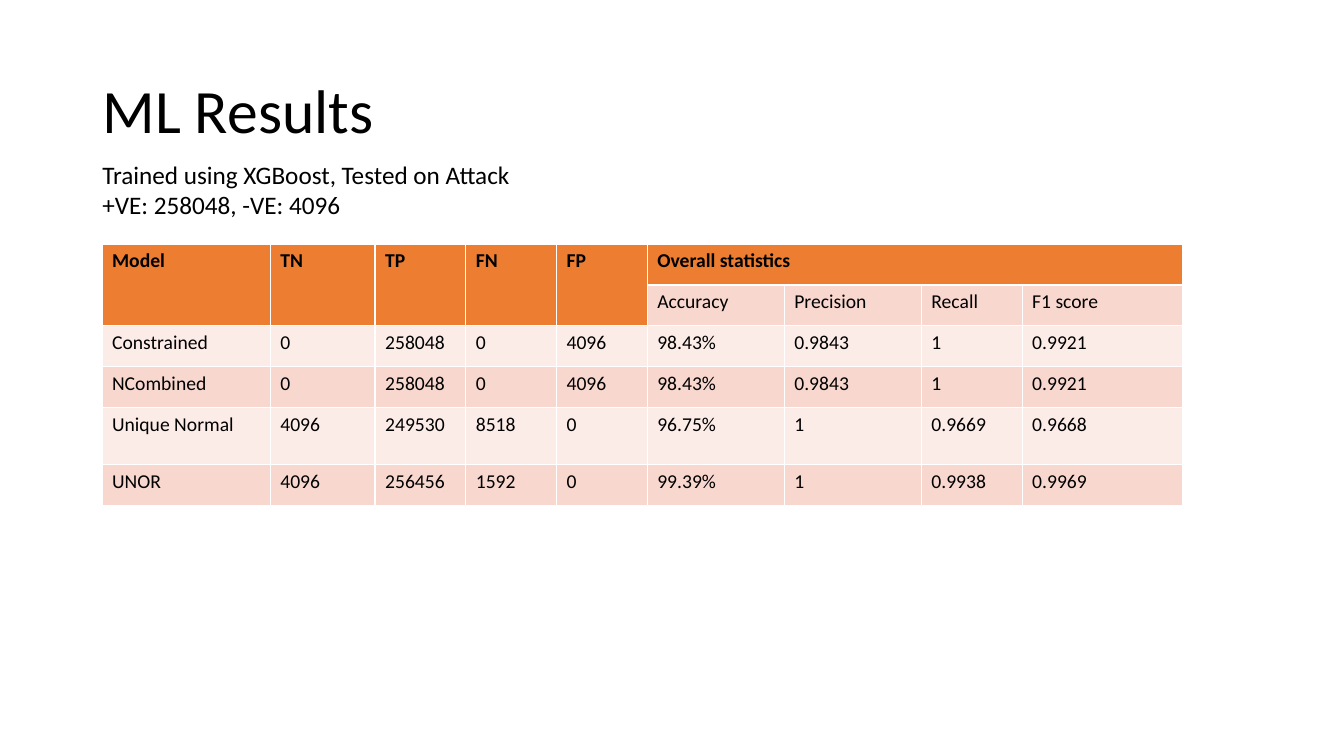
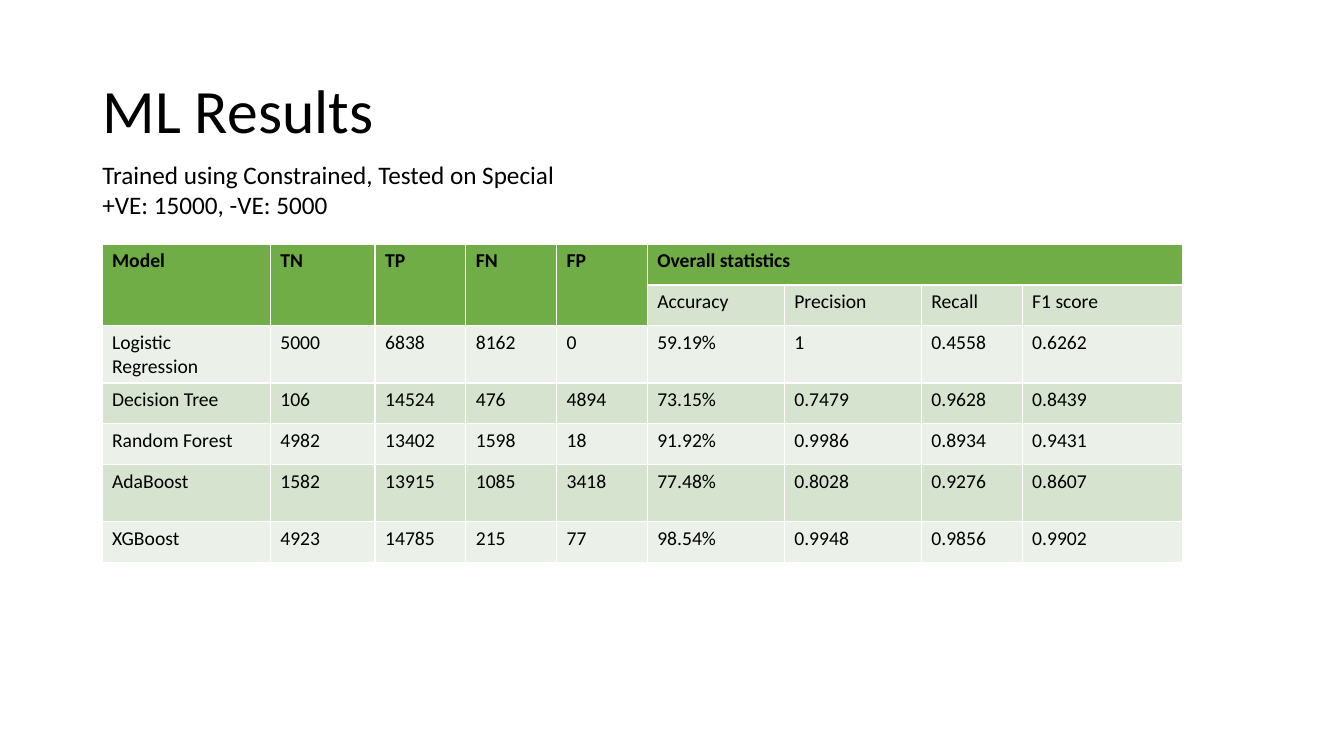
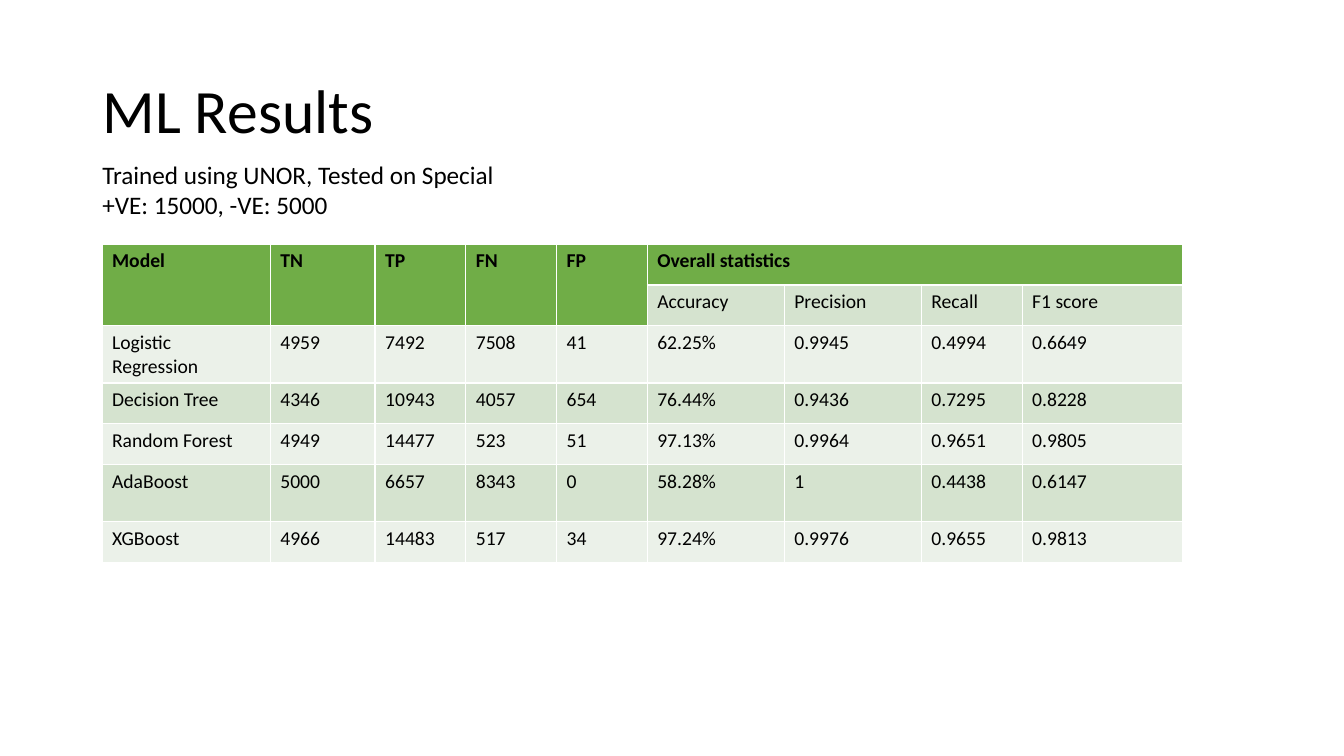
from dataclasses import dataclass

from pptx import Presentation
from pptx.dml.color import RGBColor as RGB
from pptx.enum.text import MSO_ANCHOR as Anchor, MSO_AUTO_SIZE as Fit, PP_ALIGN as Align
from pptx.util import Cm, Pt


@dataclass(frozen=True)
class Theme:
    """Colours, font and type sizes of the deck."""
    font: str = "Calibri"
    ink: str = "000000"
    head: int = 44
    note: int = 18
    cell: int = 14
    orange: tuple = ("ED7D31", "FCECE8", "F8D7CE")
    green: tuple = ("70AD47", "EBF1E9", "D5E3CF")


THEME = Theme()
SIZE = (33.87, 19.05)
TITLE = (2.33, 1.01, 29.21, 3.68)
NOTE = (2.33, 3.89, 16.61, 2.57)
GRID = (2.57, 6.15, 27.23)
COLS = (1.67, 1.04, 0.9, 0.9, 0.9, 1.36, 1.36, 1, 1.59)
ROW, TALL = 1.03, 1.44
HEADS = ("Model", "TN", "TP", "FN", "FP", "Overall statistics")
STATS = ("Accuracy", "Precision", "Recall", "F1 score")
LEAD = len(HEADS) - 1

SLIDES = (
    ("Trained using XGBoost, Tested on Attack", "+VE: 258048, -VE: 4096", THEME.orange,
     ("Unique Normal",), (
         ("Constrained", "0", "258048", "0", "4096", "98.43%", "0.9843", "1", "0.9921"),
         ("NCombined", "0", "258048", "0", "4096", "98.43%", "0.9843", "1", "0.9921"),
         ("Unique Normal", "4096", "249530", "8518", "0", "96.75%", "1", "0.9669", "0.9668"),
         ("UNOR", "4096", "256456", "1592", "0", "99.39%", "1", "0.9938", "0.9969"))),
    ("Trained using Constrained, Tested on Special", "+VE: 15000, -VE: 5000", THEME.green,
     ("Logistic Regression", "AdaBoost"), (
         ("Logistic Regression", "5000", "6838", "8162", "0", "59.19%", "1", "0.4558", "0.6262"),
         ("Decision Tree", "106", "14524", "476", "4894", "73.15%", "0.7479", "0.9628", "0.8439"),
         ("Random Forest", "4982", "13402", "1598", "18", "91.92%", "0.9986", "0.8934", "0.9431"),
         ("AdaBoost", "1582", "13915", "1085", "3418", "77.48%", "0.8028", "0.9276", "0.8607"),
         ("XGBoost", "4923", "14785", "215", "77", "98.54%", "0.9948", "0.9856", "0.9902"))),
    ("Trained using UNOR, Tested on Special", "+VE: 15000, -VE: 5000", THEME.green,
     ("Logistic Regression", "AdaBoost"), (
         ("Logistic Regression", "4959", "7492", "7508", "41", "62.25%", "0.9945", "0.4994", "0.6649"),
         ("Decision Tree", "4346", "10943", "4057", "654", "76.44%", "0.9436", "0.7295", "0.8228"),
         ("Random Forest", "4949", "14477", "523", "51", "97.13%", "0.9964", "0.9651", "0.9805"),
         ("AdaBoost", "5000", "6657", "8343", "0", "58.28%", "1", "0.4438", "0.6147"),
         ("XGBoost", "4966", "14483", "517", "34", "97.24%", "0.9976", "0.9655", "0.9813"))),
)


def write(frame, text, size, bold=False):
    """Fill a text frame and set the font of its paragraphs."""
    frame.text = text
    for para in frame.paragraphs:
        font = para.font
        font.name, font.size, font.bold = THEME.font, Pt(size), bold
        font.color.rgb = RGB.from_string(THEME.ink)


def add_title(slide, box, text):
    """Place the title placeholder in its box."""
    title = slide.shapes.title
    title.left, title.top, title.width, title.height = map(Cm, box)
    frame = title.text_frame
    write(frame, text, THEME.head)
    frame.vertical_anchor, frame.auto_size = Anchor.MIDDLE, Fit.NONE
    frame.paragraphs[0].alignment = Align.LEFT
    frame.paragraphs[0].line_spacing = 0.9


def add_note(slide, box, text):
    """Place the lines that describe the test."""
    frame = slide.shapes.add_textbox(*map(Cm, box)).text_frame
    frame.word_wrap = True
    write(frame, text, THEME.note)


def add_grid(slide, box, shades, tall, data):
    """Place the result table, with a header two rows deep."""
    left, top, width = box
    head, *bands = shades
    rows = [HEADS + ("",) * (len(COLS) - len(HEADS)), ("",) * LEAD + STATS, *data]
    highs = [TALL if row[0] in tall else ROW for row in rows]
    table = slide.shapes.add_table(len(rows), len(COLS), Cm(left), Cm(top),
                                   Cm(width), Cm(sum(highs))).table
    for col, share in zip(table.columns, COLS):
        col.width = Cm(width * share / sum(COLS))
    for r, (row, high) in enumerate(zip(rows, highs)):
        table.rows[r].height = Cm(high)
        for c, text in enumerate(row):
            cell = table.cell(r, c)
            top_cell = r == 0 or (r == 1 and c < LEAD)
            write(cell.text_frame, text, THEME.cell, top_cell)
            cell.fill.solid()
            cell.fill.fore_color.rgb = RGB.from_string(head if top_cell else bands[r % 2])
    for c in range(LEAD):
        table.cell(0, c).merge(table.cell(1, c))
    table.cell(0, LEAD).merge(table.cell(0, len(COLS) - 1))


def main():
    """Build the deck and save it."""
    deck = Presentation()
    deck.slide_width, deck.slide_height = map(Cm, SIZE)
    for test, count, shades, tall, data in SLIDES:
        slide = deck.slides.add_slide(deck.slide_layouts[5])
        add_title(slide, TITLE, "ML Results")
        add_note(slide, NOTE, f"{test}\n{count}")
        add_grid(slide, GRID, shades, tall, data)
    deck.save("out.pptx")


if __name__ == "__main__":
    main()
